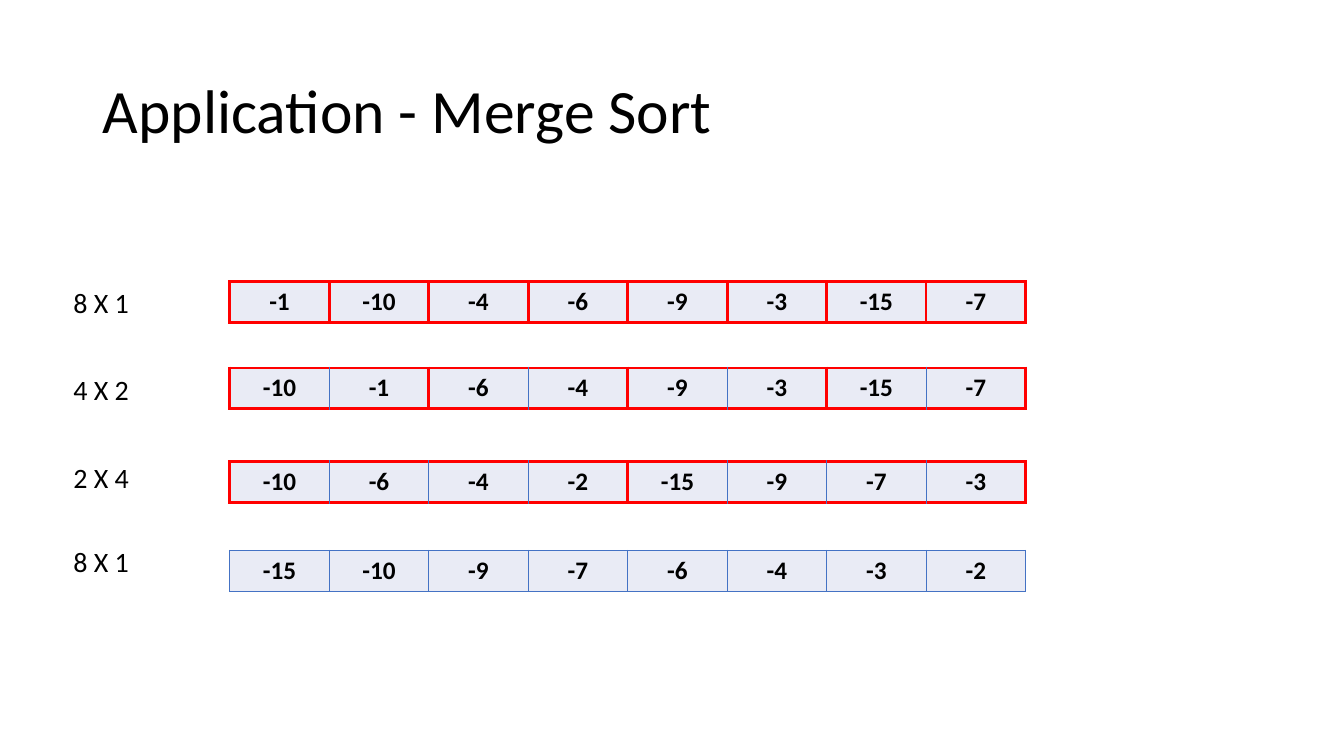
from lxml import etree
from pptx import Presentation
from pptx.dml.color import RGBColor
from pptx.enum.text import MSO_ANCHOR, MSO_AUTO_SIZE, PP_ALIGN
from pptx.oxml.ns import qn
from pptx.util import Cm, Pt

LEFT, CENTER = PP_ALIGN.LEFT, PP_ALIGN.CENTER
MIDDLE = MSO_ANCHOR.MIDDLE
NO_FIT, GROW = MSO_AUTO_SIZE.NONE, MSO_AUTO_SIZE.SHAPE_TO_FIT_TEXT

BLACK = RGBColor(0x00, 0x00, 0x00)
RED = RGBColor(0xFF, 0x00, 0x00)
BLUE = RGBColor(0x44, 0x72, 0xC4)
PALE = RGBColor(0xE9, 0xEB, 0xF5)

RUN_EDGE = (RED, Pt(2.25))
INNER_EDGE = (BLUE, Pt(1))

TITLE_FONT = {"name": "Calibri", "size": Pt(44)}
LABEL_FONT = {"name": "Calibri", "size": Pt(20)}
CELL_FONT = {"name": "Calibri", "size": Pt(18), "bold": True}

# label, label top, table top, length of each sorted run (0: fully merged), values
PASSES = [
    ("8 X 1", 7.06, 7.09, 1, [-1, -10, -4, -6, -9, -3, -15, -7]),
    ("4 X 2", 9.25, 9.27, 2, [-10, -1, -6, -4, -9, -3, -15, -7]),
    ("2 X 4", 11.48, 11.63, 4, [-10, -6, -4, -2, -15, -9, -7, -3]),
    ("8 X 1", 13.59, 13.87, 0, [-15, -10, -9, -7, -6, -4, -3, -2]),
]


def write(tf, text, font, align=LEFT):
    p = tf.paragraphs[0]
    p.alignment = align
    r = p.add_run()
    r.text = text
    for name, value in font.items():
        setattr(r.font, name, value)
    r.font.color.rgb = BLACK
    return p


def add_title(slide, text):
    sp = slide.shapes.title
    sp.left, sp.top, sp.width, sp.height = Cm(2.34), Cm(1.02), Cm(29.21), Cm(3.68)
    tf = sp.text_frame
    for name, value in {"auto_size": NO_FIT, "vertical_anchor": MIDDLE, "word_wrap": True}.items():
        setattr(tf, name, value)
    write(tf, text, TITLE_FONT).line_spacing = 0.9


def add_label(slide, text, top):
    sp = slide.shapes.add_textbox(Cm(1.6), Cm(top), Cm(2.11), Cm(1.11))
    tf = sp.text_frame
    tf.word_wrap = True
    tf.auto_size = GROW
    write(tf, text, LABEL_FONT)


def set_borders(cell, edges):
    tc_pr = cell._tc.get_or_add_tcPr()
    for side, (color, width) in edges.items():
        ln = etree.SubElement(tc_pr, qn(f"a:ln{side}"), w=str(int(width)))
        fill = etree.SubElement(ln, qn("a:solidFill"))
        etree.SubElement(fill, qn("a:srgbClr"), val=str(color))


def run_edges(index, run):
    outer = RUN_EDGE if run else INNER_EDGE
    starts = run and index % run == 0
    ends = run and (index + 1) % run == 0
    return {
        "L": RUN_EDGE if starts else INNER_EDGE,
        "R": RUN_EDGE if ends else INNER_EDGE,
        "T": outer,
        "B": outer,
    }


def add_array(slide, values, top, run):
    frame = slide.shapes.add_table(1, len(values), Cm(5.79), Cm(top), Cm(20.06), Cm(1.03))
    table = frame.table
    table.first_row = False
    table.horz_banding = False
    for i, value in enumerate(values):
        cell = table.cell(0, i)
        set_borders(cell, run_edges(i, run))
        cell.fill.solid()
        cell.fill.fore_color.rgb = PALE
        write(cell.text_frame, str(value), CELL_FONT, CENTER)


def main():
    prs = Presentation()
    prs.slide_width, prs.slide_height = Cm(33.87), Cm(19.05)
    slide = prs.slides.add_slide(prs.slide_layouts[5])
    add_title(slide, "Application - Merge Sort")
    for label, label_top, table_top, run, values in PASSES:
        add_array(slide, values, table_top, run)
        add_label(slide, label, label_top)
    prs.save("out.pptx")


main()
